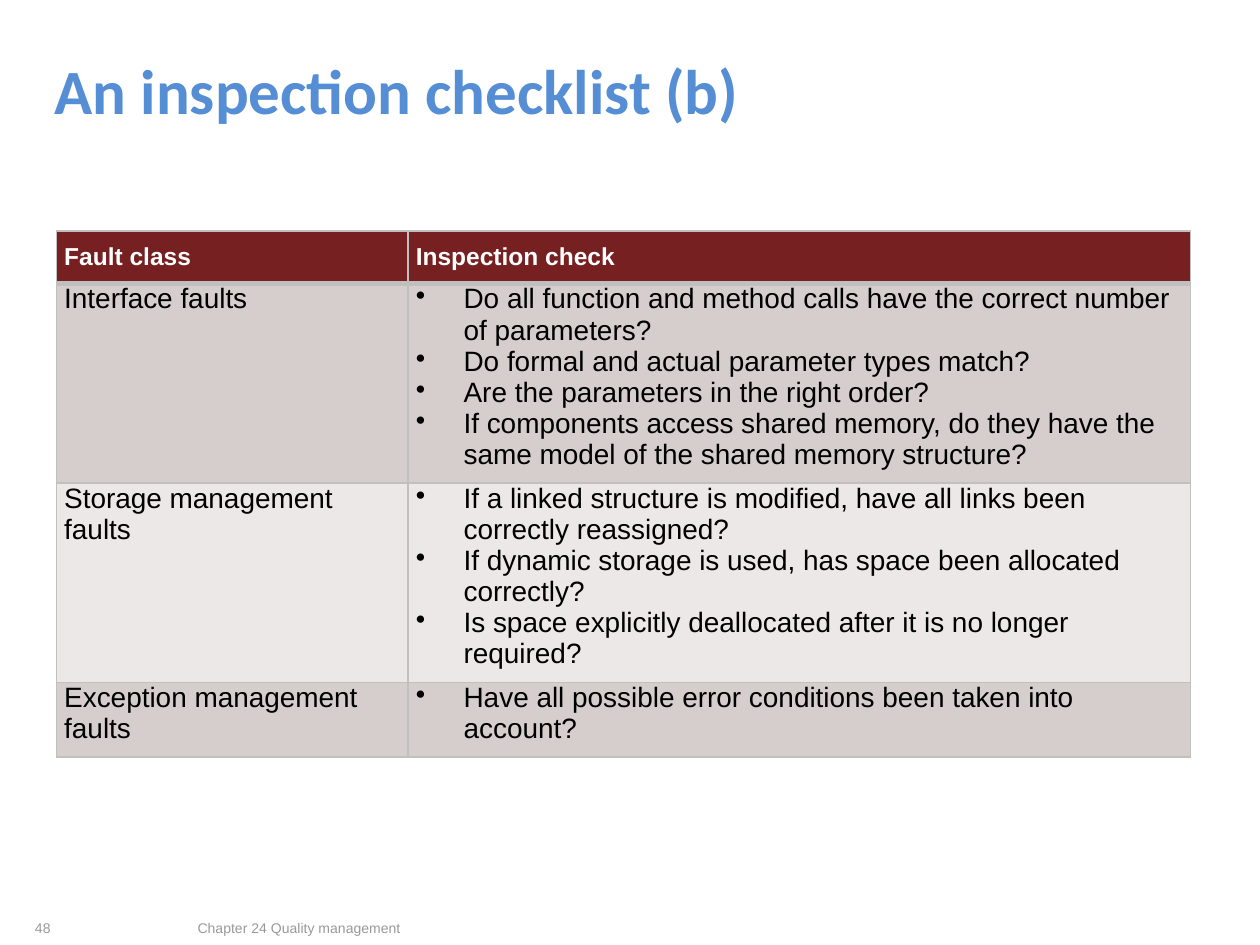
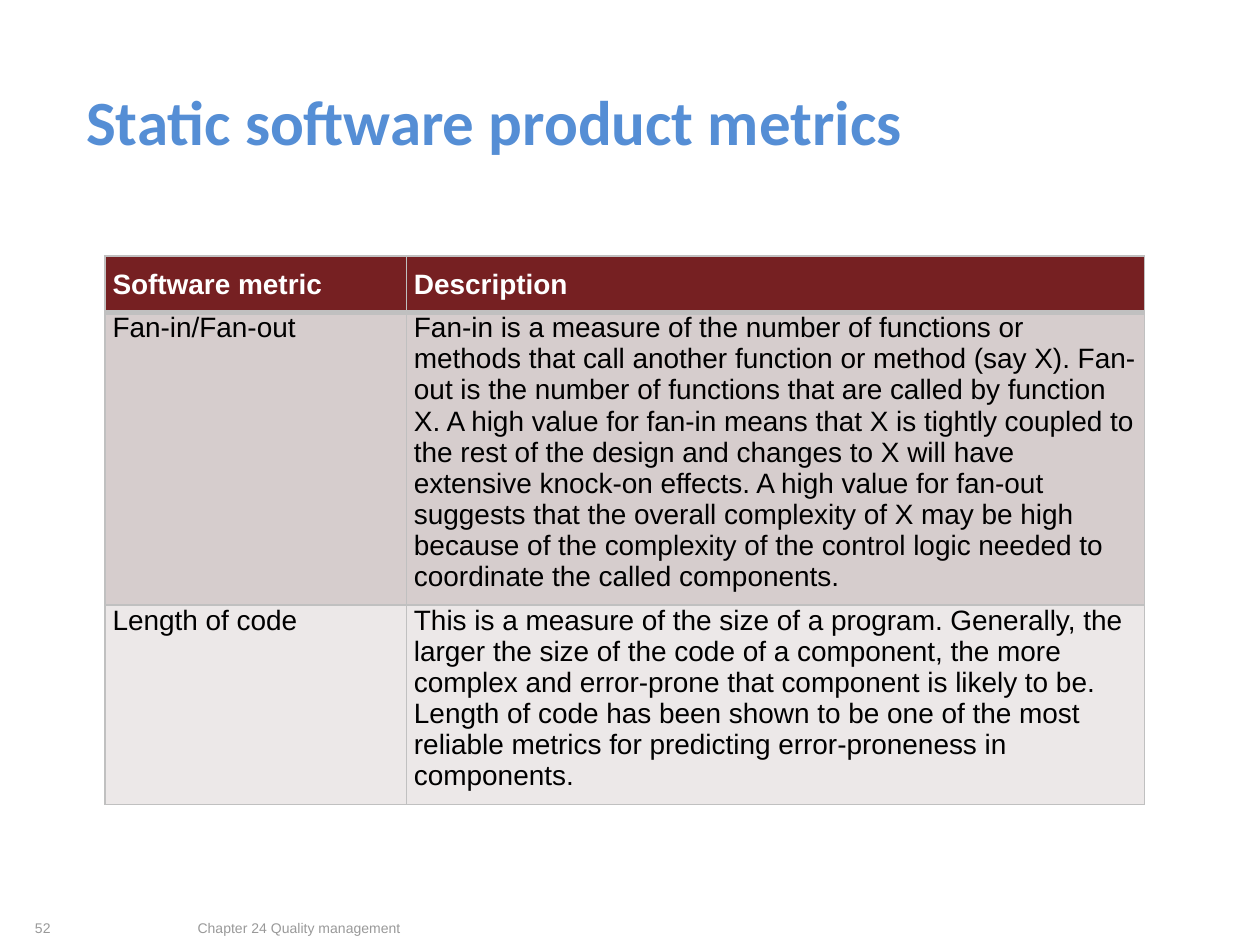
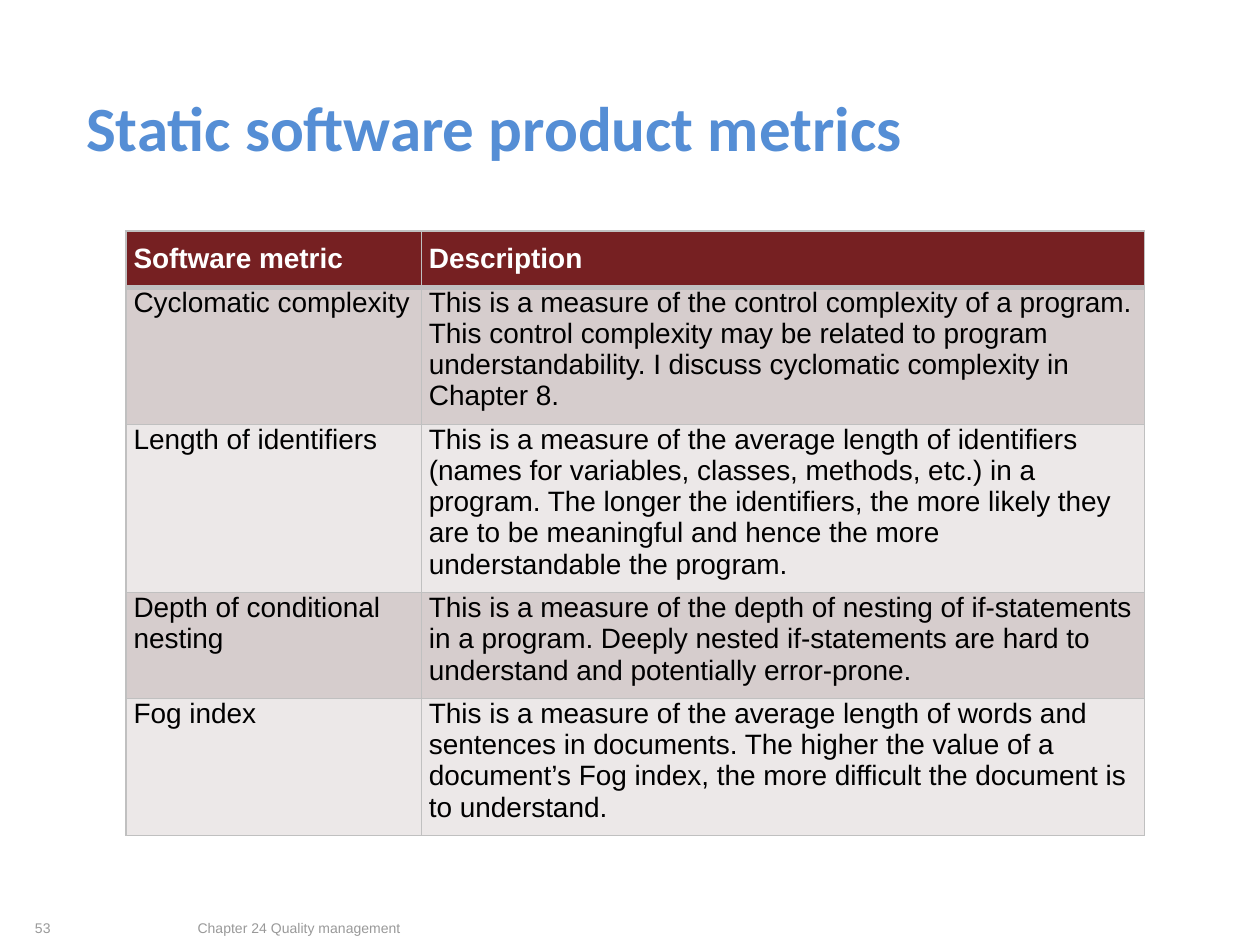
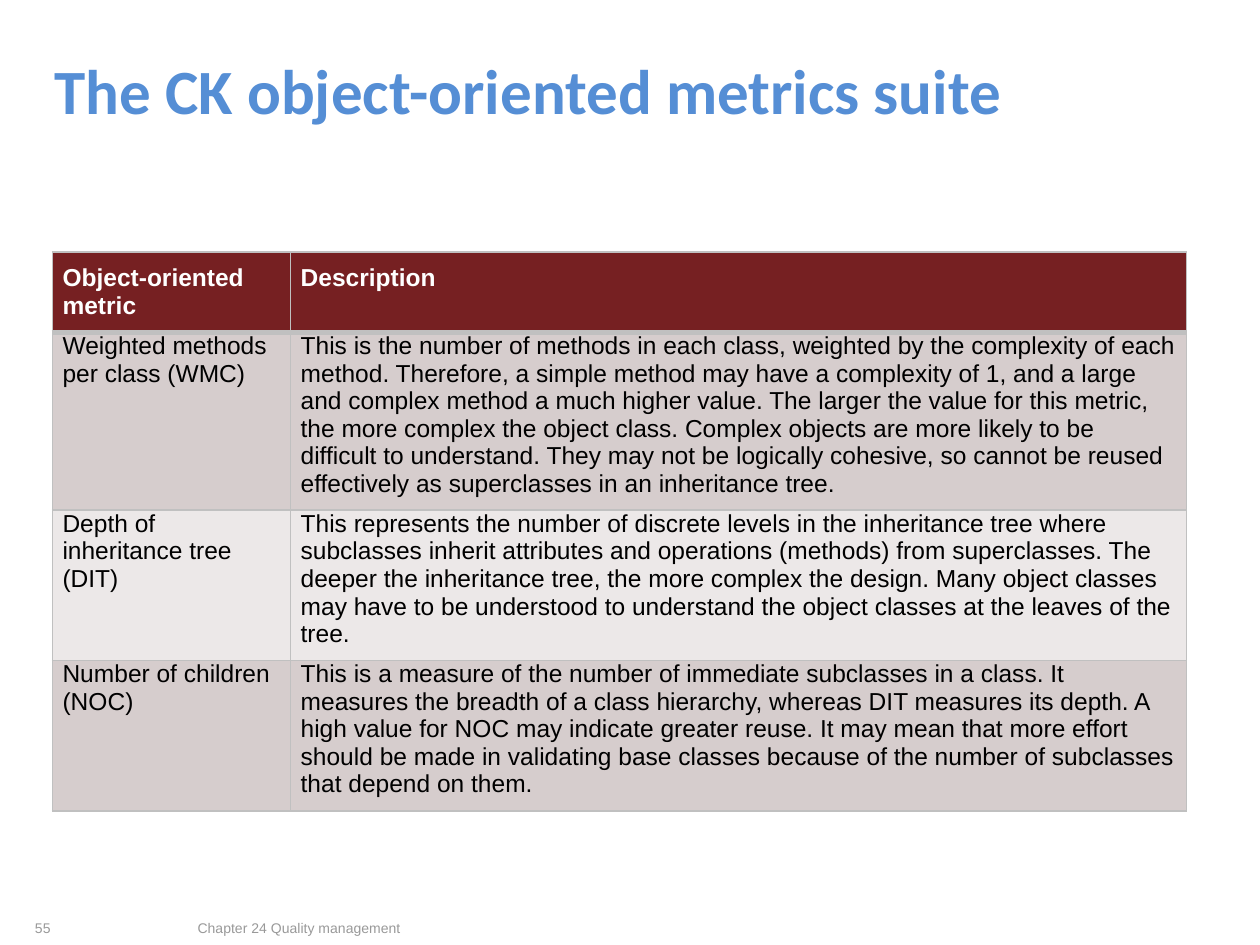
from lxml import etree
from pptx import Presentation
from pptx.dml.color import RGBColor
from pptx.enum.shapes import MSO_SHAPE as SHAPE
from pptx.enum.text import MSO_ANCHOR as ANCHOR, MSO_AUTO_SIZE as AUTO, PP_ALIGN as ALIGN
from pptx.oxml import parse_xml
from pptx.oxml.ns import nsdecls, qn
from pptx.util import Inches, Pt

UNIT = Inches(1) // 12
COLS, ROWS = 120, 90
WHITE, GREY = "FFFFFF", "C0C0C0"
HEADER_FILL, BODY_FILLS = "762022", ("D6CDCD", "ECE8E8")
TITLE = {"name": "Calibri", "size": Pt(36), "bold": True, "color": "558ED5"}
TITLE_OUTLINE = "741A1C"
HEADER = {"name": "Arial", "bold": True, "color": WHITE}
BODY = {"name": "Arial", "bold": False, "color": "000000"}
FOOTER = {"name": "Arial", "size": Pt(8), "color": "999999"}
FOOTER_TEXT = "Chapter 24 Quality management"
ROW_HEIGHT = Inches(0.41)
WIDE_TITLE = (4, 4, 112, 9)

SLIDES = [
    {
        "number": "48",
        "title": "An inspection checklist (b)",
        "title_at": WIDE_TITLE,
        "table_at": (5.4, 22, 108, 53.6),
        "split": 0.31, "head_size": 14, "body_size": 16, "inset": 0.06,
        "head_align": ALIGN.LEFT,
        "rows": [
            ("Fault class", "Inspection check"),
            ("Interface faults", [
                "Do all function and method calls have the correct number of parameters?",
                "Do formal and actual parameter types match?",
                "Are the parameters in the right order?",
                "If components access shared memory, do they have the same model of the "
                "shared memory structure?"]),
            ("Storage management faults", [
                "If a linked structure is modified, have all links been correctly reassigned?",
                "If dynamic storage is used, has space been allocated correctly?",
                "Is space explicitly deallocated after it is no longer required?"]),
            ("Exception management faults", [
                "Have all possible error conditions been taken into account?"]),
        ],
    },
    {
        "number": "52",
        "title": "Static software product metrics",
        "title_at": (7, 5, 95, 13),
        "table_at": (10, 24.4, 99, 56),
        "split": 0.29, "head_size": 16, "body_size": 16, "inset": 0.06,
        "head_align": ALIGN.JUSTIFY,
        "rows": [
            ("Software metric", "Description"),
            ("Fan-in/Fan-out",
             "Fan-in is a measure of the number of functions or methods that call another "
             "function or method (say X). Fan-out is the number of functions that are called "
             "by function X. A high value for fan-in means that X is tightly coupled to the "
             "rest of the design and changes to X will have extensive knock-on effects. A high "
             "value for fan-out suggests that the overall complexity of X may be high because "
             "of the complexity of the control logic needed to coordinate the called "
             "components."),
            ("Length of code",
             "This is a measure of the size of a program. Generally, the larger the size of "
             "the code of a component, the more complex and error-prone that component is "
             "likely to be. Length of code has been shown to be one of the most reliable "
             "metrics for predicting error-proneness in components."),
        ],
    },
    {
        "number": "53",
        "title": "Static software product metrics",
        "title_at": (7, 5, 95, 14),
        "table_at": (12, 22, 97, 61.6),
        "split": 0.29, "head_size": 16, "body_size": 16, "inset": 0.06,
        "head_align": ALIGN.JUSTIFY,
        "rows": [
            ("Software metric", "Description"),
            ("Cyclomatic complexity",
             "This is a measure of the control complexity of a program. This control "
             "complexity may be related to program understandability. I discuss cyclomatic "
             "complexity in Chapter 8."),
            ("Length of identifiers",
             "This is a measure of the average length of identifiers (names for variables, "
             "classes, methods, etc.) in a program. The longer the identifiers, the more "
             "likely they are to be meaningful and hence the more understandable the program."),
            ("Depth of conditional nesting",
             "This is a measure of the depth of nesting of if-statements in a program. Deeply "
             "nested if-statements are hard to understand and potentially error-prone."),
            ("Fog index",
             "This is a measure of the average length of words and sentences in documents. "
             "The higher the value of a document’s Fog index, the more difficult the document "
             "is to understand."),
        ],
    },
    {
        "number": "55",
        "title": "The CK object-oriented metrics suite",
        "title_at": WIDE_TITLE,
        "table_at": (5, 24, 108, 56.4),
        "split": 0.21, "head_size": 14, "body_size": 14, "inset": 0.08,
        "head_align": ALIGN.JUSTIFY,
        "rows": [
            ("Object-oriented metric", "Description"),
            ("Weighted methods per class (WMC)",
             "This is the number of methods in each class, weighted by the complexity of each "
             "method. Therefore, a simple method may have a complexity of 1, and a large and "
             "complex method a much higher value. The larger the value for this metric, the "
             "more complex the object class. Complex objects are more likely to be difficult "
             "to understand. They may not be logically cohesive, so cannot be reused "
             "effectively as superclasses in an inheritance tree."),
            ("Depth of inheritance tree (DIT)",
             "This represents the number of discrete levels in the inheritance tree where "
             "subclasses inherit attributes and operations (methods) from superclasses. The "
             "deeper the inheritance tree, the more complex the design. Many object classes "
             "may have to be understood to understand the object classes at the leaves of the "
             "tree."),
            ("Number of children (NOC)",
             "This is a measure of the number of immediate subclasses in a class. It measures "
             "the breadth of a class hierarchy, whereas DIT measures its depth. A high value "
             "for NOC may indicate greater reuse. It may mean that more effort should be made "
             "in validating base classes because of the number of subclasses that depend on "
             "them."),
        ],
    },
]


def grid(*cells):
    """Turn grid columns and rows into slide lengths."""
    return [int(c * UNIT) for c in cells]


def paint(fill, color):
    """Give a fill one solid colour from a hex string."""
    fill.solid()
    fill.fore_color.rgb = RGBColor.from_string(color)


def write(p, text, style):
    """Add a run to a paragraph and format it from a dict."""
    r = p.add_run()
    r.text = text
    for key, value in style.items():
        if key == "color":
            r.font.color.rgb = RGBColor.from_string(value)
        else:
            setattr(r.font, key, value)
    return r


def line_xml(tag, color, width):
    """Make a solid line element for a cell edge or a text outline."""
    return parse_xml(
        f'<a:{tag} {nsdecls("a")} w="{Pt(width)}"><a:solidFill>'
        f'<a:srgbClr val="{color}"/></a:solidFill></a:{tag}>')


def add_bullet(p):
    """Give a paragraph a hanging bullet with a tab stop."""
    pPr = p._p.get_or_add_pPr()
    pPr.set("marL", str(Inches(0.38)))
    pPr.set("indent", str(-Inches(0.38)))
    etree.SubElement(pPr, qn("a:buChar"), char="•")
    tabs = etree.SubElement(pPr, qn("a:tabLst"))
    etree.SubElement(tabs, qn("a:tab"), pos=str(Inches(0.25)), algn="l")


def add_bands(prs, s):
    """Put the grey background and the two white bands on the master."""
    master = prs.slide_master
    paint(master.background.fill, GREY)
    for i, box in enumerate([(0, 0, COLS, 14), (0, 13, COLS, ROWS - 13)]):
        sp = s.shapes.add_shape(SHAPE.RECTANGLE, *grid(*box))
        sp.shadow.inherit = False
        paint(sp.fill, WHITE)
        sp.line.fill.background()
        master.shapes._spTree.insert(2 + i, sp._element)


def add_title(s, text, box):
    """Move, fill and format the title placeholder."""
    sp = s.shapes.title
    sp.left, sp.top, sp.width, sp.height = grid(*box)
    tf = sp.text_frame
    tf.vertical_anchor, tf.auto_size = ANCHOR.MIDDLE, AUTO.NONE
    p = tf.paragraphs[0]
    p.alignment = ALIGN.LEFT
    r = write(p, text, TITLE)
    r._r.get_or_add_rPr().insert(0, line_xml("ln", TITLE_OUTLINE, 0.83))


def add_footer(s, text, box, align):
    """Add one small grey footer text."""
    tf = s.shapes.add_textbox(*grid(*box)).text_frame
    tf.word_wrap = True
    tf.paragraphs[0].alignment = align
    write(tf.paragraphs[0], text, FOOTER)


def fill_cell(cell, content, style, fill, align, margins, bottom):
    """Write a cell's text or bullet list, then its edges and fill."""
    bulleted = isinstance(content, list)
    tf = cell.text_frame
    for i, text in enumerate(content if bulleted else [content]):
        p = tf.add_paragraph() if i else tf.paragraphs[0]
        p.alignment = align
        if bulleted:
            add_bullet(p)
        write(p, text, style)
    for side, value in margins.items():
        setattr(cell, f"margin_{side}", Inches(value))
    tcPr = cell._tc.get_or_add_tcPr()
    for tag, width in {"lnL": 1, "lnR": 1, "lnT": 1, "lnB": bottom}.items():
        tcPr.append(line_xml(tag, GREY, width))
    paint(cell.fill, fill)


def add_metric_table(s, d):
    """Add a two-column table with a dark header and banded rows."""
    x, y, w, h = grid(*d["table_at"])
    frame = s.shapes.add_table(len(d["rows"]), 2, x, y, w, h)
    table = frame.table
    first = int(w * d["split"])
    table.columns[0].width, table.columns[1].width = first, w - first
    for i, row in enumerate(d["rows"]):
        table.rows[i].height = ROW_HEIGHT
        head = i == 0
        style = dict(HEADER if head else BODY,
                     size=Pt(d["head_size" if head else "body_size"]))
        fill = HEADER_FILL if head else BODY_FILLS[(i - 1) % 2]
        margins = {"left": d["inset"], "right": d["inset"],
                   "top": 0.1 if head else 0, "bottom": 0.1}
        for j, content in enumerate(row):
            align = d["head_align"] if head and j == 0 else ALIGN.LEFT
            fill_cell(table.cell(i, j), content, style, fill, align, margins,
                      3 if head else 1)
    frame.height = h


def main():
    """Build the slides and save them."""
    prs = Presentation()
    prs.slide_width, prs.slide_height = grid(COLS, ROWS)
    for i, d in enumerate(SLIDES):
        s = prs.slides.add_slide(prs.slide_layouts[5])
        if i == 0:
            add_bands(prs, s)
        add_title(s, d["title"], d["title_at"])
        add_metric_table(s, d)
        add_footer(s, d["number"], (0, 87, 6, 3), ALIGN.RIGHT)
        add_footer(s, FOOTER_TEXT, (5, 87, 47, 3), ALIGN.CENTER)
    prs.save("out.pptx")


if __name__ == "__main__":
    main()
